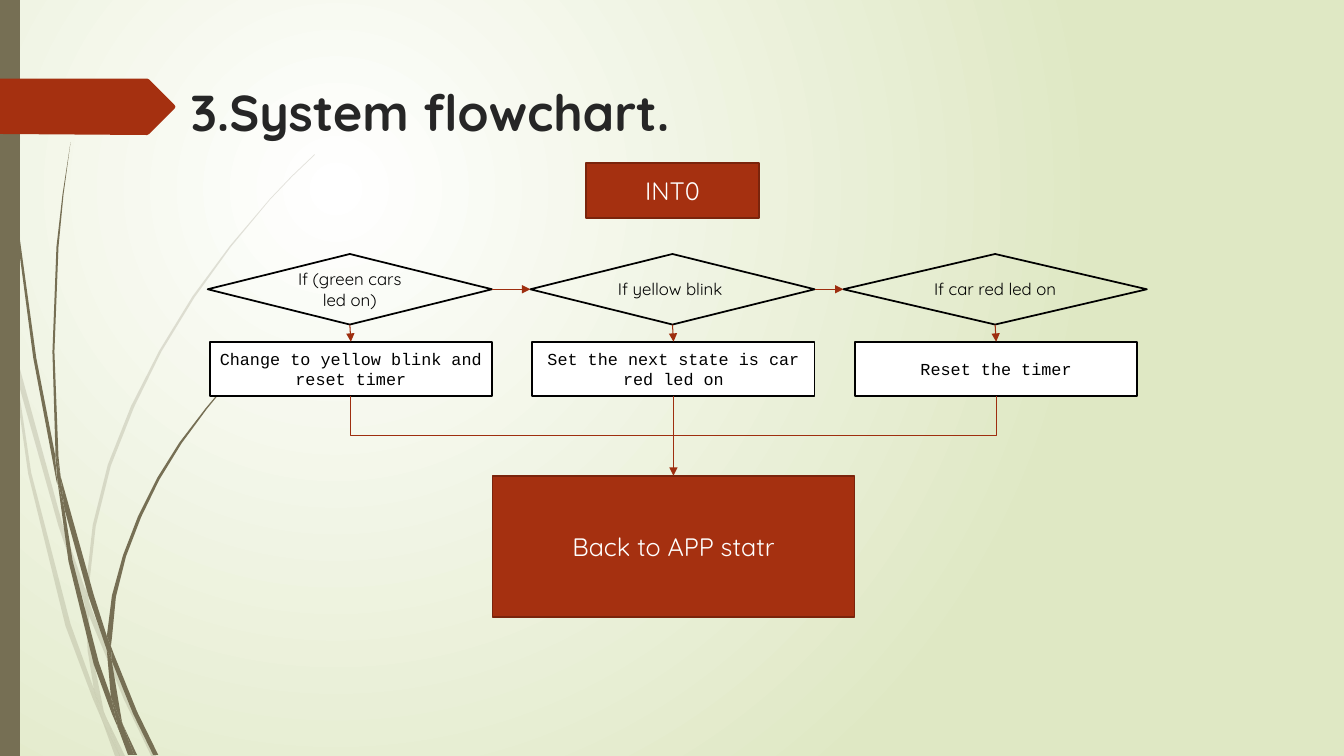
from lxml.etree import SubElement
from pptx import Presentation
from pptx.dml.color import RGBColor
from pptx.enum.shapes import MSO_CONNECTOR, MSO_SHAPE
from pptx.enum.text import MSO_ANCHOR, PP_ALIGN
from pptx.oxml.ns import qn
from pptx.util import Inches, Pt

WHITE = RGBColor(0xFF, 0xFF, 0xFF)
BLACK = RGBColor(0, 0, 0)
PALE_GREEN = RGBColor(0xDF, 0xE8, 0xC4)
OLIVE = RGBColor(0x76, 0x6F, 0x54)
RUST = RGBColor(0xA5, 0x30, 0x10)
DARK_RUST = RGBColor(0x7A, 0x24, 0x0C)
ARROW = RGBColor(0x9E, 0x2E, 0x0F)
TITLE_INK = RGBColor(0x26, 0x26, 0x26)
SANS, MONO = "Quicksand", "Courier New"

# Flowchart grid, in inches
COLUMNS = [3.47 + 3.2 * i for i in range(3)]
DECISION_Y, DECISION_H = 2.87, 0.7
PROCESS_Y, PROCESS_W, PROCESS_H = 3.66, 2.8, 0.54
BACK_Y, BACK_W, BACK_H = 5.42, 3.59, 1.4
MERGE_Y = 4.32
STEPS = [
    ("If (green cars led on)", 2.82, "Change to yellow blink and reset timer"),
    ("If yellow blink ", 2.82, "Set the next state is car red led on"),
    ("If car red led on", 3.01, "Reset the timer"),
]

# Outlines of the grass blades, in inches
FAINT_BLADES = [
    [(0.11, 3.5), (0.09, 3.22), (0, 2.82), (0, 2.99), (0.1, 3.44)],
    [(0.58, 5.22), (0.84, 5.99), (0.85, 5.86), (0.62, 5.2), (0.14, 3.45), (0.17, 3.76)],
    [(0.92, 6.07), (0.88, 5.96), (0.88, 6.1), (1.23, 6.94), (1.5, 7.5), (1.55, 7.5), (1.27, 6.92)],
    [(1.19, 7.5), (1.24, 7.5), (1.05, 7.11)],
    [(0.93, 6.83), (0.7, 6.19), (0.31, 4.69), (0.17, 3.76), (0.11, 3.5), (0.28, 4.7), (0.65, 6.21),
     (0.92, 6.93), (1.01, 7.14), (0.99, 7.07)],
    [(0.84, 5.99), (0.87, 6.46), (0.93, 6.83), (0.96, 6.92), (1.05, 7.11), (1.03, 7.06),
     (0.91, 6.46), (0.88, 6.1), (0.88, 6.08)],
    [(0.88, 5.84), (0.95, 5.22), (1.1, 4.62), (1.33, 4.04), (1.6, 3.49), (1.93, 2.95), (2.29, 2.45),
     (2.68, 1.98), (2.9, 1.75), (3.12, 1.54), (3.12, 1.53), (2.89, 1.75), (2.68, 1.97), (2.28, 2.44),
     (1.91, 2.94), (1.58, 3.48), (1.3, 4.03), (1.07, 4.61), (0.92, 5.21), (0.85, 5.84), (0.85, 5.86),
     (0.88, 5.96)],
    [(1.01, 7.14), (1.14, 7.5), (1.19, 7.5)],
    [(0.88, 6.08), (0.88, 6.1), (0.88, 5.96), (0.85, 5.86), (0.84, 5.99)],
    [(0.96, 6.92), (0.93, 6.83), (0.99, 7.07), (1.01, 7.14), (1.19, 7.5), (1.05, 7.11)],
]
SOLID_BLADES = [
    [(0.07, 1.1), (0.17, 2.33), (0.33, 3.55), (0.56, 4.77), (0.57, 4.81), (0.55, 4.57), (0.55, 4.53),
     (0.36, 3.55), (0.19, 2.32), (0.08, 1.09), (0.05, 0.48), (0.04, 0), (0.03, 0), (0.04, 0.48)],
    [(0.88, 5.92), (1.06, 6.45), (1.06, 6.31), (0.93, 5.9), (0.6, 4.72), (0.64, 5.05)],
    [(1.13, 6.49), (1.1, 6.41), (1.11, 6.56), (1.32, 7.08), (1.52, 7.49), (1.57, 7.49), (1.36, 7.06)],
    [(1.1, 6.91), (0.98, 6.57), (0.72, 5.56), (0.64, 5.05), (0.57, 4.77), (0.68, 5.57), (0.93, 6.59),
     (1.11, 7.08), (1.17, 7.22), (1.16, 7.17)],
    [(0.6, 4.72), (0.58, 4.53), (0.54, 3.49), (0.58, 2.45), (0.63, 1.93), (0.7, 1.41), (0.62, 1.93),
     (0.56, 2.45), (0.52, 3.49), (0.55, 4.49)],
    [(1.33, 7.49), (1.36, 7.49), (1.22, 7.19)],
    [(0.57, 4.77), (0.64, 5.05), (0.6, 4.72), (0.55, 4.49), (0.55, 4.53)],
    [(1.11, 6.33), (1.15, 5.92), (1.25, 5.52), (1.4, 5.13), (1.58, 4.76), (1.8, 4.4), (2.05, 4.06),
     (2.31, 3.74), (2.45, 3.59), (2.61, 3.44), (2.6, 3.44), (2.45, 3.58), (2.31, 3.73), (2.04, 4.05),
     (1.78, 4.39), (1.56, 4.74), (1.37, 5.12), (1.22, 5.51), (1.11, 5.91), (1.06, 6.31), (1.1, 6.41)],
    [(1.17, 7.22), (1.27, 7.49), (1.31, 7.49)],
    [(1.06, 6.45), (1.1, 6.91), (1.16, 7.06), (1.22, 7.19), (1.21, 7.16), (1.11, 6.56), (1.09, 6.51)],
    [(1.06, 6.45), (1.09, 6.51), (1.11, 6.56), (1.1, 6.41), (1.06, 6.31)],
    [(1.16, 7.06), (1.1, 6.91), (1.16, 7.17), (1.17, 7.22), (1.3, 7.49), (1.33, 7.49), (1.22, 7.19)],
]
TITLE_TAG = [(0, 0.78), (1.46, 0.78), (1.48, 0.79), (1.73, 1.04), (1.74, 1.06), (1.73, 1.08),
             (1.48, 1.33), (1.46, 1.34), (0, 1.33)]


def paint_background(slide):
    """Radial gradient that spreads from the upper left quarter."""
    fill = slide.background.fill
    fill.gradient()
    for stop, color, position in zip(fill.gradient_stops, (WHITE, PALE_GREEN), (0, 1)):
        stop.color.rgb = color
        stop.position = position
    grad = slide.background._cSld.find(".//" + qn("a:gradFill"))
    grad.remove(grad.find(qn("a:lin")))
    circle = SubElement(grad, qn("a:path"), path="circle")
    SubElement(circle, qn("a:fillToRect"), l="50000", t="50000", r="100000", b="100000")


def add_outline(slide, points, color, alpha=None):
    """Filled polygon; alpha is the opacity in percent."""
    start, *rest = [(Inches(x), Inches(y)) for x, y in points]
    builder = slide.shapes.build_freeform(*start)
    builder.add_line_segments(rest)
    sp = builder.convert_to_shape()
    sp.shadow.inherit = False
    sp.fill.solid()
    sp.fill.fore_color.rgb = color
    sp.line.fill.background()
    if alpha:
        rgb = sp._element.spPr.find(".//" + qn("a:srgbClr"))
        SubElement(rgb, qn("a:alpha"), val=str(alpha * 1000))


def add_box(slide, kind, text, cx, cy, w, h, fill=None, line=BLACK, ink=BLACK, font=SANS, size=12):
    """Flowchart node centred on (cx, cy)."""
    sp = slide.shapes.add_shape(kind, *(Inches(v) for v in (cx - w / 2, cy - h / 2, w, h)))
    sp.shadow.inherit = False
    if fill is None:
        sp.fill.background()
    else:
        sp.fill.solid()
        sp.fill.fore_color.rgb = fill
    sp.line.color.rgb = line
    sp.line.width = Pt(1.25)
    tf = sp.text_frame
    tf.word_wrap = True
    tf.vertical_anchor = MSO_ANCHOR.MIDDLE
    p = tf.paragraphs[0]
    p.text = text
    p.alignment = PP_ALIGN.CENTER
    p.font.name, p.font.size, p.font.color.rgb = font, Pt(size), ink


def add_link(slide, x1, y1, x2, y2, kind=MSO_CONNECTOR.STRAIGHT, arrow=True):
    link = slide.shapes.add_connector(kind, *(Inches(v) for v in (x1, y1, x2, y2)))
    link.line.color.rgb = ARROW
    link.line.width = Pt(0.75)
    SubElement(link._element.spPr, qn("a:effectLst"))
    if arrow:
        SubElement(link.line._get_or_add_ln(), qn("a:tailEnd"), type="triangle")
    return link


def add_drop_link(slide, x1, y1, x2, y2, preset, arrow):
    """Elbow that leaves its start downwards: a level elbow, turned a quarter."""
    cx, cy = (x1 + x2) / 2, (y1 + y2) / 2
    half_w, half_h = (y2 - y1) / 2, abs(x2 - x1) / 2
    side = -1 if x2 > x1 else 1
    link = add_link(slide, cx - side * half_w, cy - half_h, cx + side * half_w, cy + half_h,
                    MSO_CONNECTOR.ELBOW, arrow)
    spPr = link._element.spPr
    spPr.find(qn("a:xfrm")).set("rot", str((90 if side > 0 else 270) * 60000))
    spPr.find(qn("a:prstGeom")).set("prst", preset)


def add_title(slide, text):
    title = slide.shapes.title
    title.left, title.top, title.width, title.height = (Inches(v) for v in (1.79, 0.75, 9.75, 1.4))
    title.text_frame.vertical_anchor = MSO_ANCHOR.TOP
    p = title.text_frame.paragraphs[0]
    p.text = text
    p.alignment = PP_ALIGN.LEFT
    p.font.name, p.font.size, p.font.bold = SANS, Pt(36), True
    p.font.color.rgb = TITLE_INK


def add_decor(slide, height):
    for blade in FAINT_BLADES:
        add_outline(slide, blade, OLIVE, alpha=20)
    for blade in SOLID_BLADES:
        add_outline(slide, blade, OLIVE)
    add_outline(slide, [(0, 0), (0.2, 0), (0.2, height), (0, height)], OLIVE)
    add_outline(slide, TITLE_TAG, RUST)


def add_flowchart(slide):
    terminal = dict(fill=RUST, line=DARK_RUST, ink=WHITE, size=18)
    left, middle, right = (x + 0.01 for x in COLUMNS)
    bottom = PROCESS_Y + PROCESS_H / 2
    add_box(slide, MSO_SHAPE.RECTANGLE, "INT0", middle - 0.01, 1.89, 1.71, 0.54, **terminal)
    previous_right = None
    for x, (question, width, action) in zip(COLUMNS, STEPS):
        add_box(slide, MSO_SHAPE.DIAMOND, question, x, DECISION_Y, width, DECISION_H)
        add_box(slide, MSO_SHAPE.RECTANGLE, action, x + 0.01, PROCESS_Y, PROCESS_W, PROCESS_H,
                fill=WHITE, font=MONO)
        add_link(slide, x, DECISION_Y + DECISION_H / 2, x + 0.01, PROCESS_Y - PROCESS_H / 2)
        if previous_right:
            add_link(slide, previous_right, DECISION_Y, x - width / 2, DECISION_Y)
        previous_right = x + width / 2
    add_box(slide, MSO_SHAPE.RECTANGLE, "Back to APP statr", middle, BACK_Y, BACK_W, BACK_H, **terminal)
    add_drop_link(slide, left, bottom, middle, BACK_Y - BACK_H / 2, "bentConnector3", arrow=True)
    add_link(slide, middle, bottom, middle, 4.46, arrow=False)
    add_drop_link(slide, right, bottom, middle, MERGE_Y, "bentConnector2", arrow=False)


def main():
    prs = Presentation()
    prs.slide_width, prs.slide_height = Inches(13.33), Inches(7.5)
    slide = prs.slides.add_slide(prs.slide_layouts[5])
    paint_background(slide)
    add_decor(slide, prs.slide_height.inches)
    add_title(slide, "3.System flowchart.")
    add_flowchart(slide)
    prs.save("out.pptx")


if __name__ == "__main__":
    main()
